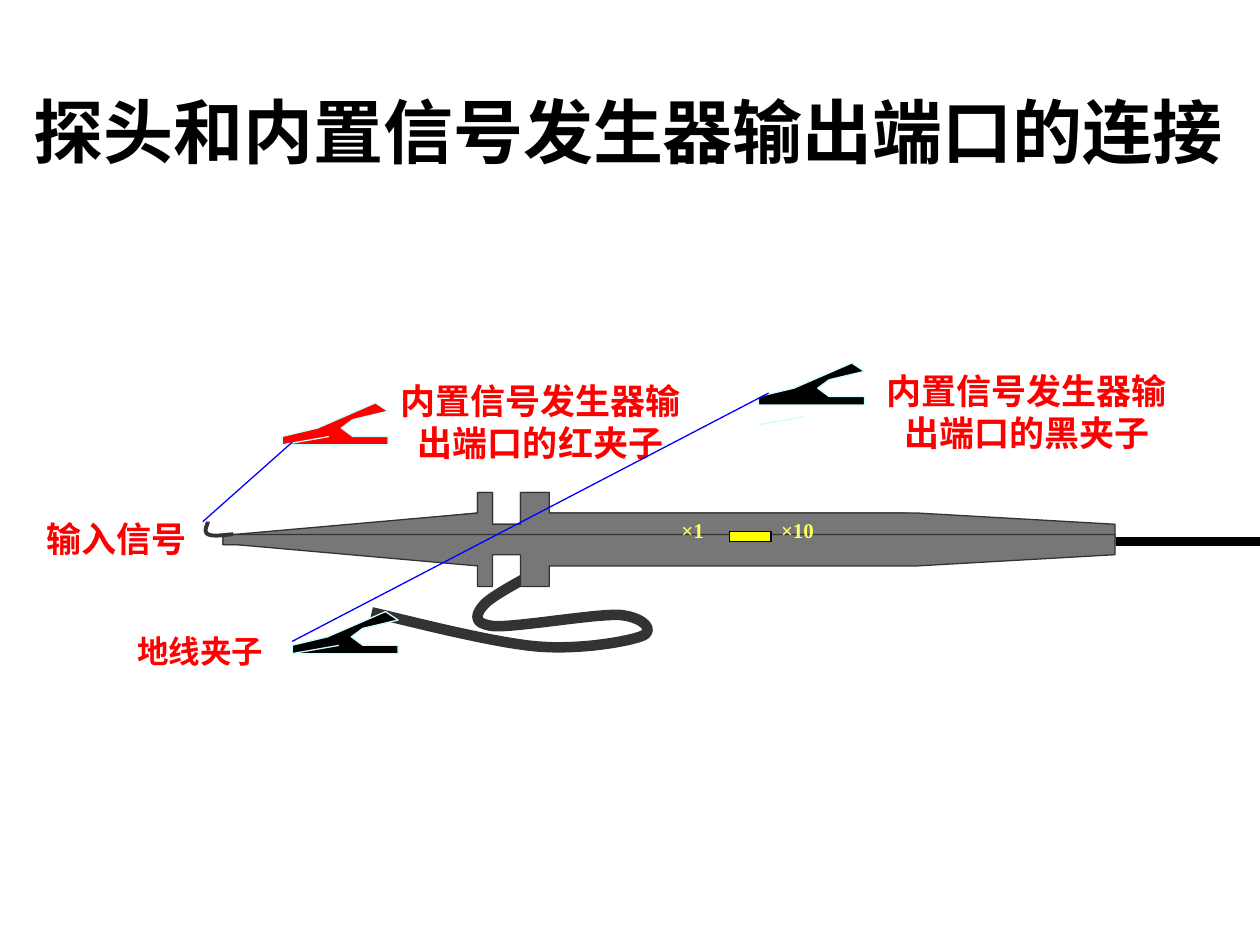
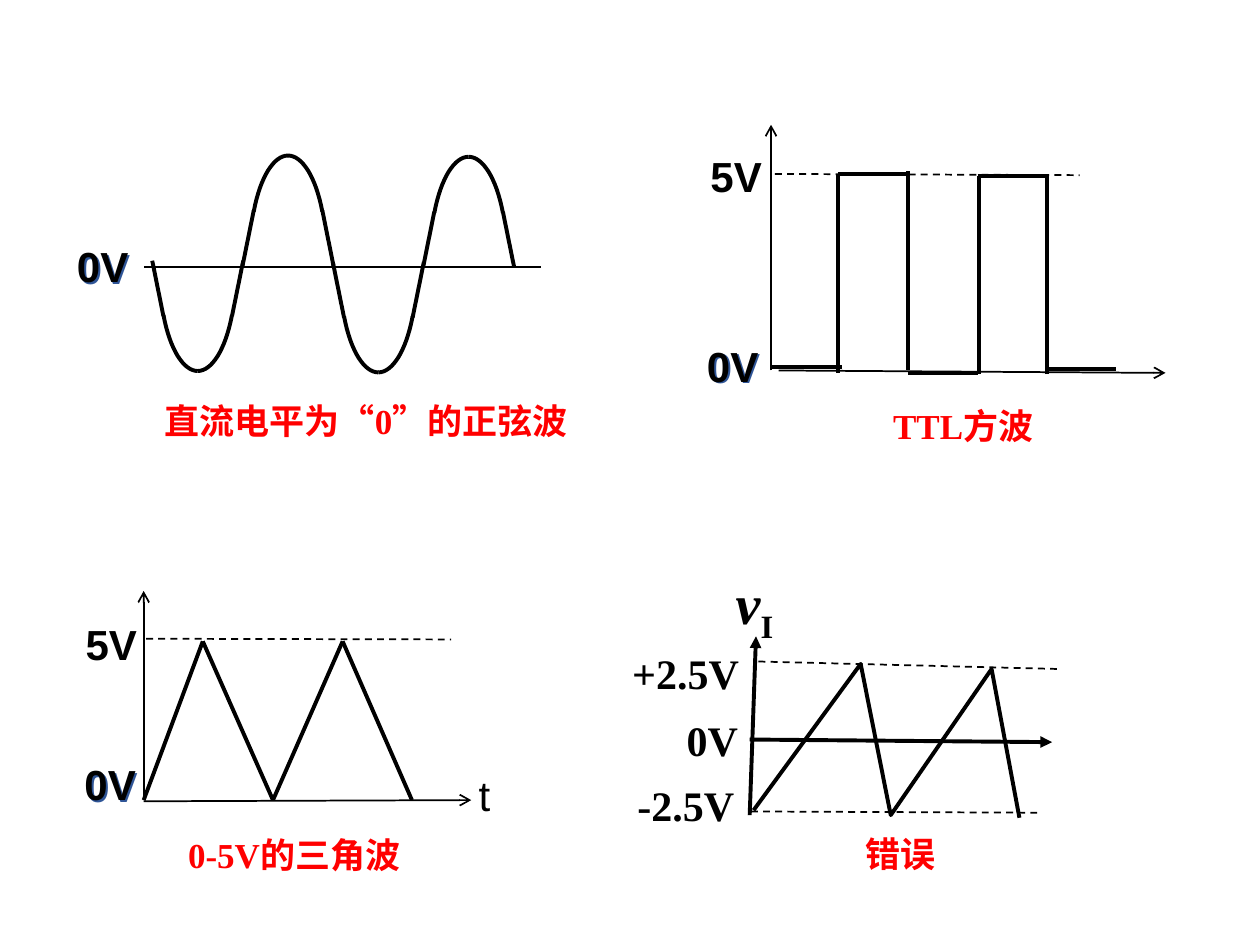
from itertools import pairwise

from pptx import Presentation
from pptx import util as u
from pptx.dml import color
from pptx.enum import dml, shapes, text
from pptx.oxml import ns
from lxml import etree

Pt = u.Pt

# Shared look
COLORS = {"ink": "000000", "label": "FF0000", "wire": "0000FF", "scale": "FFFF66",
          "switch": "FFFF00", "body": "777777", "edge": "333333", "clip_edge": "CCFFFF",
          "text_shadow": "2F5597"}
SERIF, SANS, LATO, CJK = "Times New Roman", "Arial", "Lato", "Noto Sans CJK SC"
LEFT, CENTER = text.PP_ALIGN.LEFT, text.PP_ALIGN.CENTER
THIN, AXIS, BOLD = 0.75, 1, 2.25
LABEL = dict(size=20, color="label")
VOLT = dict(size=24, font=SANS, wrap=False)
FIVE = dict(VOLT, spacing=0.88)
ZERO = dict(VOLT, align=CENTER, shadow=True)

# Slide 1 content: (runs, box, format)
PROBE_TITLE = ("探头和内置信号发生器输出端口的连接", (8.6, 49, 700.6, 51.1),
               dict(size=40, font=CJK, align=CENTER, anchor=text.MSO_ANCHOR.MIDDLE))
PROBE_LABELS = [
    ("输入信号", (19.4, 292.3, 96.5, 31.7), LABEL),
    ("地线夹子", (71.3, 357.8, 95.8, 28.8), dict(LABEL, size=18)),
    ("内置信号发生器输出端口的红夹子", (218.2, 213.1, 181.4, 55.4), dict(LABEL, align=CENTER)),
    ("内置信号发生器输出端口的黑夹子", (496.1, 207.4, 181.4, 55.4), dict(LABEL, align=CENTER)),
]
SCALE_LABELS = [
    ("×10", (439.2, 292.3, 41.8, 21.6), dict(size=12, color="scale")),
    ("×1", (382.3, 292.3, 38.9, 21.6), dict(size=12, color="scale")),
]

# Crocodile clip outline, and (left, top, colour, jaw drop) of each clip
CLIP = [(0, 24), (7.2, 24), (26.6, 24), (60.5, 24), (60.5, 19.2), (40.3, 19.2), (33.8, 14.4),
        (40.3, 9.6), (60.5, 4.8), (53.3, 0), (20.2, 14.4), (0, 19.2)]
BLACK_CLIP = (433.5, 207.4, "ink", 35.3)
RED_CLIP = (161.3, 230.2, "label", 24)
GROUND_CLIP = (167, 349.5, "ink", 24)

# Probe profile as (x, distance from the probe axis)
PROBE_AXIS = 308.3
COLLAR = [(272.9, 15.1), (272.9, 26.8), (281.5, 26.8), (281.5, 8.7), (297.4, 8.7),
          (297.4, 26.8), (313.9, 26.8), (313.9, 15.1)]
CORE = [(151.9, 3), *COLLAR, (516.2, 15.1), (604.8, 8.7), (604.8, 3)]
HALF = [(135.4, 3), *COLLAR, (524.2, 15.1), (637.2, 8.7), (637.2, -2.9), (127.4, -2.9), (127.4, 3)]

# Curves: first point, then three control points for each Bezier piece
GROUND_WIRE = [(212.4, 349.9), (228.2, 353.5), (280.8, 367.2), (306.7, 369.4),
               (331.9, 371.5), (358.6, 366.5), (366.5, 363.6),
               (374.4, 360.7), (368.6, 352.8), (354.2, 351.4),
               (340.6, 350.6), (295.2, 358.6), (282.2, 357.8),
               (269.3, 356.4), (272.2, 350.6), (276.5, 345.6),
               (280.8, 340.6), (300.2, 330.5), (306.7, 326.9)]
HOOK = [(133.2, 305.3), (126.7, 306), (121, 306.7), (118.8, 305.3),
        (115.9, 303.8), (118.8, 299.5), (118.8, 298.1)]
CABLE = ((637.9, 309.6), (720, 309.6))
SWITCH = (416.9, 303.8, 23.8, 5.8)
LEADS = [((167, 366.5), (439.2, 224.6)), ((115.9, 298.1), (167, 252.7))]

# Slide 2 content
WAVE_LABELS = [
    ("0V", (396.7, 190.8, 43.9, 36), ZERO),
    ("0V", (36.7, 133.9, 43.9, 36), ZERO),
    ("0V", (41, 429.8, 43.9, 36), ZERO),
    ("5V", (41.8, 353.5, 43.9, 32.4), FIVE),
    ("5V", (398.9, 86.4, 43.9, 32.4), FIVE),
    ("t", (266.4, 439.9, 20.9, 32.4), dict(FIVE, bold=False)),
    ("+2.5V", (354.2, 366.5, 75.6, 36), dict(size=24)),
    ("-2.5V", (357.1, 442.1, 97.2, 36), dict(size=24)),
    ("0V", (385.2, 404.6, 43.9, 36), dict(size=24, wrap=False)),
    ([("v", dict(italic=True)), ("I", dict(baseline=-25000))],
     (413.3, 321.1, 36, 51.1), dict(size=32, wrap=False)),
]
CAPTIONS = [
    ([("直流电平为“", dict(font=LATO)), ("0", {}), ("”的正弦波", dict(font=LATO))],
     (79.9, 224.6, 258.5, 31.7)),
    ([("TTL", {}), ("方波", dict(font=CJK))], (440.6, 227.5, 219.6, 31.7)),
    ([("0-5V", {}), ("的三角波", dict(font=LATO))], (58.3, 473, 219.6, 31.7)),
    ([("错误", dict(font=LATO))], (404.6, 472.3, 219.6, 31.7)),
]
SINE_AXIS = ((308.9, 152.6), (82.1, 152.6))
ARROW_AXES = [
    ((82.1, 457.2), (82.1, 337.7)), ((82.1, 457.9), (269.3, 457.2)),
    ((440.6, 211.7), (440.6, 71.3)), ((445, 211.7), (666, 213.1)),
]
ERROR_AXES = [((428.4, 422.6), (601.2, 424.1)), ((428.4, 465.8), (432, 363.6))]
LEVELS = [
    ((433.4, 378), (604.8, 382.3)), ((429.1, 463.7), (592.6, 464.4)),
    ((83.5, 365), (257.8, 365.4)), ((442.8, 99.4), (617, 100.1)),
]
TRIANGLE = [(82.1, 457.2), (115.9, 366.5), (156, 457.2), (195.8, 366.5), (235.4, 457.2)]
SAWTOOTH = [(430.6, 463), (491.8, 379.4), (509, 465.8), (566.6, 382.3), (582.5, 467.3)]
SQUARE = [
    ((440.6, 209.5), (481, 209.5)), ((478.8, 213.1), (478.8, 99.4)),
    ((478.8, 99.4), (519.1, 99.4)), ((519.1, 97.9), (519.1, 211.7)),
    ((519.1, 213.1), (558.7, 213.1)), ((559.4, 213.8), (559.4, 100.8)),
    ((558.7, 100.8), (598.3, 100.8)), ((598.3, 213.8), (598.3, 100.8)),
    ((598.3, 211), (637.9, 211)),
]
# Sine peaks: first x, spacing, and (y, direction towards the axis) in turn
SINE_START, SINE_STEP = 113, 51.6
SINE_PEAKS = [(212, -1), (88.9, 1), (212.8, -1), (89.6, 1)]
QUARTER_CURVE = [(0, 0), (8, 0), (15.8, 12), (19.6, 32)]
QUARTER_LINE = [(19.6, 31.4), (26, 63)]


def rgb(name):
    return color.RGBColor.from_string(COLORS[name])


def add_xml(parent, tag, **attributes):
    return etree.SubElement(parent, ns.qn(tag), **attributes)


def write(slide, content, box, size=20, font=SERIF, color="ink", bold=True, align=LEFT,
          wrap=True, spacing=None, anchor=text.MSO_ANCHOR.TOP, shadow=False):
    """Add a text box; content is a string or a list of (string, run format)."""
    holder = slide.shapes.add_textbox(*map(Pt, box))
    frame = holder.text_frame
    frame.word_wrap, frame.vertical_anchor = wrap, anchor
    paragraph = frame.paragraphs[0]
    paragraph.alignment, paragraph.line_spacing = align, spacing
    for words, fmt in [(content, {})] if isinstance(content, str) else content:
        run = paragraph.add_run()
        run.text = words
        run.font.size, run.font.bold = Pt(size), bold
        run.font.italic = fmt.get("italic", False)
        run.font.color.rgb = rgb(color)
        run.font.name = fmt.get("font", font)
        properties = run._r.get_or_add_rPr()
        add_xml(properties, "a:ea", typeface=CJK)
        if "baseline" in fmt:
            properties.set("baseline", str(fmt["baseline"]))
    if shadow:
        effects = add_xml(holder._element.spPr, "a:effectLst")
        cast = add_xml(effects, "a:outerShdw", dist=str(Pt(1.5)), dir="2700000", algn="ctr")
        add_xml(cast, "a:srgbClr", val=COLORS["text_shadow"])


def line(slide, start, end, color="ink", width=BOLD, dashed=False, arrow=None):
    rule = slide.shapes.add_connector(shapes.MSO_CONNECTOR.STRAIGHT, *map(Pt, (*start, *end)))
    rule.line.color.rgb, rule.line.width = rgb(color), Pt(width)
    if dashed:
        rule.line.dash_style = dml.MSO_LINE.DASH
    if arrow:
        add_xml(rule.line._get_or_add_ln(), "a:tailEnd", type=arrow)
    add_xml(rule._element.spPr, "a:effectLst")


def paint(shape, fill, edge, width):
    shape.shadow.inherit = False
    if fill:
        shape.fill.solid()
        shape.fill.fore_color.rgb = rgb(fill)
    else:
        shape.fill.background()
    shape.line.color.rgb, shape.line.width = rgb(edge), Pt(width)


def outline(slide, points, fill=None, edge="ink", width=BOLD):
    """Draw a polygon when filled, otherwise an open polyline."""
    first, *rest = [(Pt(x), Pt(y)) for x, y in points]
    builder = slide.shapes.build_freeform(*first, scale=1.0)
    builder.add_line_segments(rest, close=bool(fill))
    paint(builder.convert_to_shape(), fill, edge, width)


def bezier(points, steps=16):
    """Points along a chain of cubic curves."""
    track = [points[0]]
    for i in range(0, len(points) - 1, 3):
        for k in range(1, steps + 1):
            t = k / steps
            weights = ((1 - t) ** 3, 3 * t * (1 - t) ** 2, 3 * t * t * (1 - t), t ** 3)
            track.append(tuple(sum(w * p[axis] for w, p in zip(weights, points[i:i + 4]))
                               for axis in (0, 1)))
    return track


def clip(slide, left, top, fill, jaw_drop):
    outline(slide, [(left + x, top + y) for x, y in CLIP], fill, "clip_edge", THIN)
    jaw = top + jaw_drop
    line(slide, (left, jaw), (left + 26.6, jaw - 4.7), "clip_edge", THIN)


def probe_slide(slide):
    write(slide, *PROBE_TITLE[:2], **PROBE_TITLE[2])
    outline(slide, bezier(GROUND_WIRE), edge="edge", width=6)
    clip(slide, *BLACK_CLIP)
    clip(slide, *RED_CLIP)
    # Probe body: core, upper half, lower half
    for profile, side in ((CORE, -1), (HALF, -1), (HALF, 1)):
        outline(slide, [(x, PROBE_AXIS + side * rise) for x, rise in profile],
                "body", "edge", THIN)
    line(slide, *CABLE, width=5.25)
    clip(slide, *GROUND_CLIP)
    outline(slide, bezier(HOOK), edge="edge")
    for words, box, fmt in PROBE_LABELS + SCALE_LABELS:
        write(slide, words, box, **fmt)
    switch = slide.shapes.add_shape(shapes.MSO_SHAPE.RECTANGLE, *map(Pt, SWITCH))
    paint(switch, "switch", "ink", THIN)
    for lead in LEADS:
        line(slide, *lead, color="wire", width=THIN)


def waveform_slide(slide):
    # Axes and dashed levels
    line(slide, *SINE_AXIS, width=AXIS)
    for axis in ARROW_AXES:
        line(slide, *axis, width=AXIS, arrow="arrow")
    for axis in ERROR_AXES:
        line(slide, *axis, arrow="triangle")
    for level in LEVELS:
        line(slide, *level, width=AXIS, dashed=True)
    # Sine wave, one quarter on each side of every peak
    for i, (peak, direction) in enumerate(SINE_PEAKS):
        for side in (-1, 1):
            curve, flank = ([(SINE_START + i * SINE_STEP + side * x, peak + direction * y)
                             for x, y in part] for part in (QUARTER_CURVE, QUARTER_LINE))
            outline(slide, bezier(curve))
            line(slide, *flank)
    # Other waves
    for edge in [*SQUARE, *pairwise(TRIANGLE)]:
        line(slide, *edge)
    outline(slide, SAWTOOTH)
    # Labels and captions
    for words, box, fmt in WAVE_LABELS:
        write(slide, words, box, **fmt)
    for words, box in CAPTIONS:
        write(slide, words, box, align=CENTER, **LABEL)


def main():
    deck = Presentation()
    deck.slide_width, deck.slide_height = Pt(720), Pt(540)
    for build in (probe_slide, waveform_slide):
        build(deck.slides.add_slide(deck.slide_layouts[6]))
    deck.save("out.pptx")


if __name__ == "__main__":
    main()
